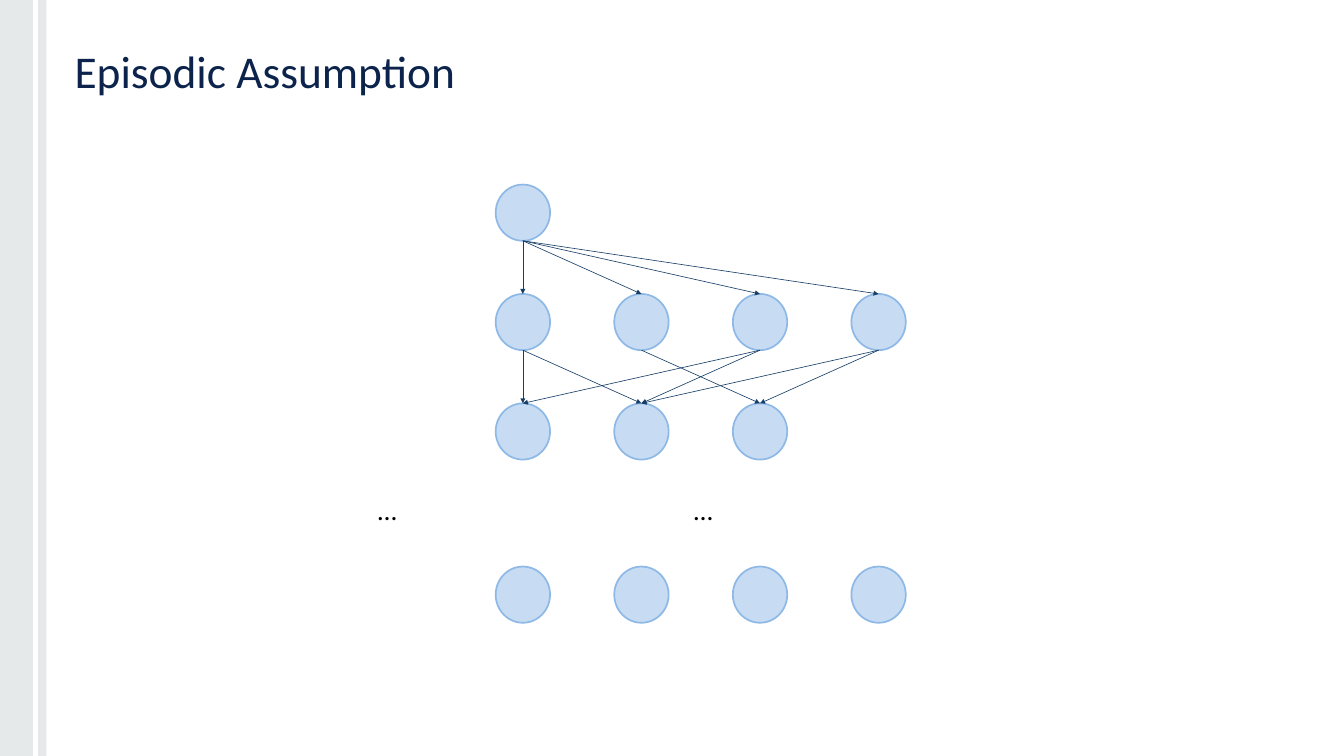
from dataclasses import dataclass

from lxml.etree import SubElement
from pptx import Presentation
from pptx.dml.color import RGBColor
from pptx.enum.shapes import MSO_CONNECTOR, MSO_SHAPE
from pptx.enum.text import MSO_ANCHOR, MSO_AUTO_SIZE, PP_ALIGN
from pptx.oxml.ns import qn
from pptx.util import Inches, Pt


@dataclass(frozen=True)
class Theme:
    font: str = "Calibri"
    title: str = "0C234B"
    text: str = "000000"
    band: str = "9EABAE"
    gap: str = "FFFFFF"
    node: str = "C7DCF3"
    rim: str = "8EB9E6"
    arrow: str = "173E66"
    title_size: float = 53.5
    dots_size: float = 32


THEME = Theme()
WIDTH, HEIGHT = 21.99, 12.37
NODE_W, NODE_H = 0.89, 0.92
LEFT, STEP = 8.11, 1.94

# Top of each tree level and its number of nodes
LEVELS = [(3.02, 1), (4.81, 4), (6.6, 3), (9.27, 4)]
# For each level with arrows: (node, child on the next level)
LINKS = [
    [(0, 0), (0, 1), (0, 2), (0, 3)],
    [(0, 0), (0, 1), (1, 2), (2, 0), (2, 1), (3, 2), (3, 1)],
]
DOTS = [(5.89, 7.99), (11.06, 7.98)]


def color(code):
    return RGBColor.from_string(code)


def add_run(para, text, size, tint):
    run = para.add_run()
    run.text = text
    run.font.name = THEME.font
    run.font.size = Pt(size)
    run.font.color.rgb = color(tint)


def add_band(slide, left, width, tint, alpha=100):
    """Add a full-height bar; alpha is its opacity in percent."""
    band = slide.shapes.add_shape(
        MSO_SHAPE.RECTANGLE, Inches(left), 0, Inches(width), Inches(HEIGHT))
    band.shadow.inherit = False
    band.fill.solid()
    band.fill.fore_color.rgb = color(tint)
    band.line.fill.background()
    if alpha < 100:
        fill = band._element.spPr.find(qn("a:solidFill"))
        SubElement(fill[0], qn("a:alpha"), val=str(alpha * 1000))


def add_title(slide, text):
    title = slide.shapes.title
    title.left, title.top = Inches(1.12), Inches(0.66)
    title.width, title.height = Inches(19.75), Inches(0.99)
    frame = title.text_frame
    frame.auto_size = MSO_AUTO_SIZE.NONE
    frame.vertical_anchor = MSO_ANCHOR.MIDDLE
    frame.margin_left = frame.margin_right = Inches(0.1)
    frame.margin_top = frame.margin_bottom = Inches(0.1)
    para = frame.paragraphs[0]
    para.alignment = PP_ALIGN.LEFT
    add_run(para, text, THEME.title_size, THEME.title)


def add_node(slide, left, top):
    node = slide.shapes.add_shape(
        MSO_SHAPE.OVAL, Inches(left), Inches(top),
        Inches(NODE_W), Inches(NODE_H))
    node.shadow.inherit = False
    node.fill.solid()
    node.fill.fore_color.rgb = color(THEME.node)
    node.line.color.rgb = color(THEME.rim)
    node.line.width = Pt(2)
    return node


def add_dots(slide, left, top):
    box = slide.shapes.add_textbox(
        Inches(left), Inches(top), Inches(0.89), Inches(0.74))
    frame = box.text_frame
    frame.word_wrap = True
    frame.auto_size = MSO_AUTO_SIZE.SHAPE_TO_FIT_TEXT
    para = frame.paragraphs[0]
    para.alignment = PP_ALIGN.CENTER
    para.line_spacing = 1.07
    para.space_after = Pt(8)
    add_run(para, "…", THEME.dots_size, THEME.text)


def add_arrow(slide, start, end):
    """Join the bottom of one node to the top of another."""
    arrow = slide.shapes.add_connector(
        MSO_CONNECTOR.STRAIGHT,
        start.left + start.width // 2, start.top + start.height,
        end.left + end.width // 2, end.top)
    # Site 4 is the bottom of an ellipse, site 0 its top
    glue = arrow._element.nvCxnSpPr.cNvCxnSpPr
    SubElement(glue, qn("a:stCxn"), id=str(start.shape_id), idx="4")
    SubElement(glue, qn("a:endCxn"), id=str(end.shape_id), idx="0")
    arrow.line.color.rgb = color(THEME.arrow)
    arrow.line.width = Pt(0.75)
    SubElement(arrow.line._get_or_add_ln(), qn("a:tailEnd"), type="triangle")
    SubElement(arrow._element.spPr, qn("a:effectLst"))


def main():
    deck = Presentation()
    deck.slide_width, deck.slide_height = Inches(WIDTH), Inches(HEIGHT)
    slide = deck.slides.add_slide(deck.slide_layouts.get_by_name("Title Only"))

    add_band(slide, 0, 0.76, THEME.band, alpha=25)
    add_band(slide, 0.54, 0.08, THEME.gap)
    add_title(slide, "Episodic Assumption")

    tree = [[add_node(slide, LEFT + STEP * col, top) for col in range(count)]
            for top, count in LEVELS]
    for left, top in DOTS:
        add_dots(slide, left, top)
    for upper, lower, links in zip(tree, tree[1:], LINKS):
        for start, end in links:
            add_arrow(slide, upper[start], lower[end])

    deck.save("out.pptx")


if __name__ == "__main__":
    main()
